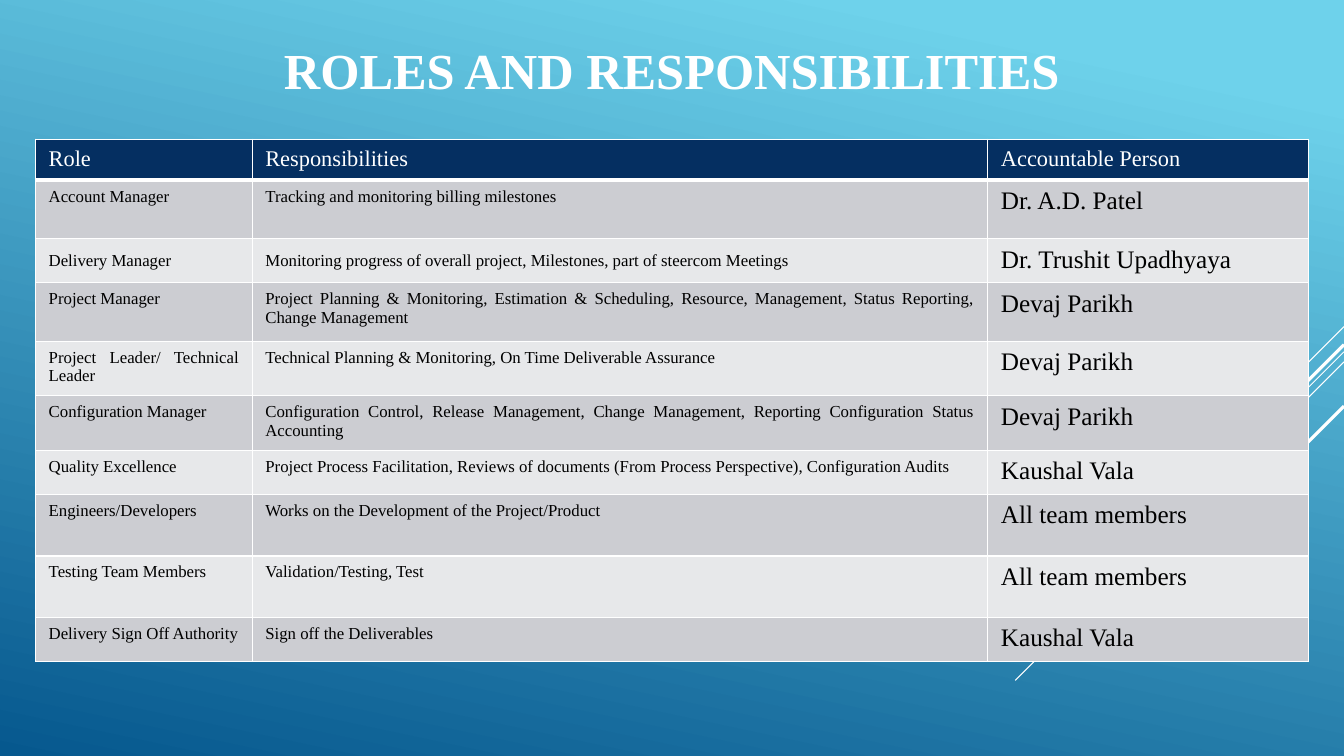
"""Build the roles and responsibilities slide."""
from collections import namedtuple
from dataclasses import dataclass
from lxml.etree import SubElement
from pptx import Presentation
from pptx.dml.color import RGBColor as RGB
from pptx.enum.shapes import MSO_CONNECTOR as CONN
from pptx.enum.text import MSO_ANCHOR as ANCHOR, PP_ALIGN as ALIGN
from pptx.oxml.ns import qn
from pptx.util import Inches, Pt

Box = namedtuple("Box", "x y w h")


@dataclass(frozen=True)
class Theme:
    """Colours, font and type sizes of the slide."""
    font: str = "Times New Roman"
    sky: str = "6ED2EB"
    deep: str = "06588E"
    navy: str = "052F61"
    bands: tuple = ("CCCDD2", "E7E8EA")
    white: str = "FFFFFF"
    black: str = "000000"
    title: int = 36
    header: int = 16
    body: int = 12
    person: int = 18
    rule: int = 1
    header_rule: int = 3


T = Theme()
W, H = 13.33, 7.5
COLS = (2.15, 7.3, 3.18)
ROWS = (0.3, 0.58, 0.42, 0.58, 0.42, 0.42, 0.42, 0.61, 0.61, 0.42)
INSET_X, INSET_Y = 0.13, 0.07
STREAKS = ((3.24, 1, 0.75), (3.49, 3.26, 0.75), (3.59, 2.08, 0.75),
           (3.42, 1.91, 2.25), (4.03, 1.39, 2.25))
HEADER = ("Role", "Responsibilities", "Accountable Person")
CENTRED_ROLE = "Delivery Manager"
ROLES = (
    ("Account Manager", "Tracking and monitoring billing milestones", "Dr. A.D. Patel"),
    (CENTRED_ROLE, "Monitoring progress of overall project, Milestones, "
     "part of steercom Meetings", "Dr. Trushit Upadhyaya"),
    ("Project Manager", "Project Planning & Monitoring, Estimation & Scheduling, "
     "Resource, Management, Status Reporting, Change Management", "Devaj Parikh"),
    ("Project Leader/ Technical Leader", "Technical Planning & Monitoring, "
     "On Time Deliverable Assurance", "Devaj Parikh"),
    ("Configuration Manager", "Configuration Control, Release Management, "
     "Change Management, Reporting Configuration Status Accounting", "Devaj Parikh"),
    ("Quality Excellence", "Project Process Facilitation, Reviews of documents "
     "(From Process Perspective), Configuration Audits", "Kaushal Vala"),
    ("Engineers/Developers", "Works on the Development of the Project/Product",
     "All team members"),
    ("Testing Team Members", "Validation/Testing, Test", "All team members"),
    ("Delivery Sign Off Authority", "Sign off the Deliverables", "Kaushal Vala"),
)


def write(tf, text, size, color, align, bold=False):
    """Fill a text frame with one formatted paragraph."""
    tf.text = text
    tf.word_wrap = True
    p = tf.paragraphs[0]
    p.alignment = align
    f = p.runs[0].font
    f.name, f.size, f.bold = T.font, Pt(size), bold
    f.color.rgb = RGB.from_string(color)


def paint_background(s):
    """Shade the slide from sky at the top to deep blue at the bottom."""
    fill = s.background.fill
    fill.gradient()
    fill.gradient_angle = 360 - 102
    for stop, color, pos in zip(fill.gradient_stops, (T.sky, T.deep), (0.1, 1)):
        stop.color.rgb = RGB.from_string(color)
        stop.position = pos


def add_streaks(s, box):
    """Draw diagonal streaks down and left from the right edge of the box."""
    right = box.x + box.w
    for y, run, width in STREAKS:
        top = box.y + y
        ends = (Inches(v) for v in (right, top, right - run, top + run))
        ln = s.shapes.add_connector(CONN.STRAIGHT, *ends)
        ln.line.color.rgb = RGB.from_string(T.white)
        ln.line.width = Pt(width)
        SubElement(ln._element.spPr, qn("a:effectLst"))


def add_title(s, box):
    """Centre the title in the box."""
    tf = s.shapes.add_textbox(*map(Inches, box)).text_frame
    write(tf, "ROLES AND RESPONSIBILITIES", T.title, T.white, ALIGN.CENTER, True)
    tf.vertical_anchor = ANCHOR.MIDDLE


def set_borders(cell, top, bottom):
    """Rule the four sides of a cell in white."""
    pr = cell._tc.get_or_add_tcPr()
    for side, width in zip("LRTB", (T.rule, T.rule, top, bottom)):
        ln = SubElement(pr, qn(f"a:ln{side}"), w=str(Pt(width)))
        SubElement(SubElement(ln, qn("a:solidFill")), qn("a:srgbClr"), val=T.white)


def style_cell(cell, text, size, color, fill, top, bottom):
    """Write, rule and fill one table cell."""
    write(cell.text_frame, text, size, color, ALIGN.JUSTIFY)
    cell.margin_left = cell.margin_right = Inches(INSET_X)
    cell.margin_top = cell.margin_bottom = Inches(INSET_Y)
    set_borders(cell, top, bottom)
    cell.fill.solid()
    cell.fill.fore_color.rgb = RGB.from_string(fill)


def add_roles_table(s, box):
    """Lay out the roles table with columns and rows shared over the box."""
    shape = s.shapes.add_table(len(ROWS), len(COLS), *map(Inches, box))
    table = shape.table
    for col, share in zip(table.columns, COLS):
        col.width = Inches(box.w * share / sum(COLS))
    for row, share in zip(table.rows, ROWS):
        row.height = Inches(box.h * share / sum(ROWS))
    for c, text in enumerate(HEADER):
        style_cell(table.cell(0, c), text, T.header, T.white, T.navy,
                   T.rule, T.header_rule)
    for r, role in enumerate(ROLES, 1):
        top = T.header_rule if r == 1 else T.rule
        for c, (text, size) in enumerate(zip(role, (T.body, T.body, T.person))):
            cell = table.cell(r, c)
            style_cell(cell, text, size, T.black, T.bands[(r - 1) % 2], top, T.rule)
            if role[0] == CENTRED_ROLE and size == T.body:
                cell.vertical_anchor = ANCHOR.MIDDLE


def build_roles_slide(prs, box):
    """Place every region of the roles slide in the box."""
    s = prs.slides.add_slide(prs.slide_layouts[6])
    head = 0.184 * box.h
    side = 0.0265 * box.w
    paint_background(s)
    add_streaks(s, box)
    add_title(s, Box(box.x, box.y, box.w, head))
    add_roles_table(s, Box(box.x + side, box.y + head, box.w - 2 * side, sum(ROWS)))


prs = Presentation()
prs.slide_width, prs.slide_height = Inches(W), Inches(H)
build_roles_slide(prs, Box(0, 0, W, H))
prs.save("out.pptx")
